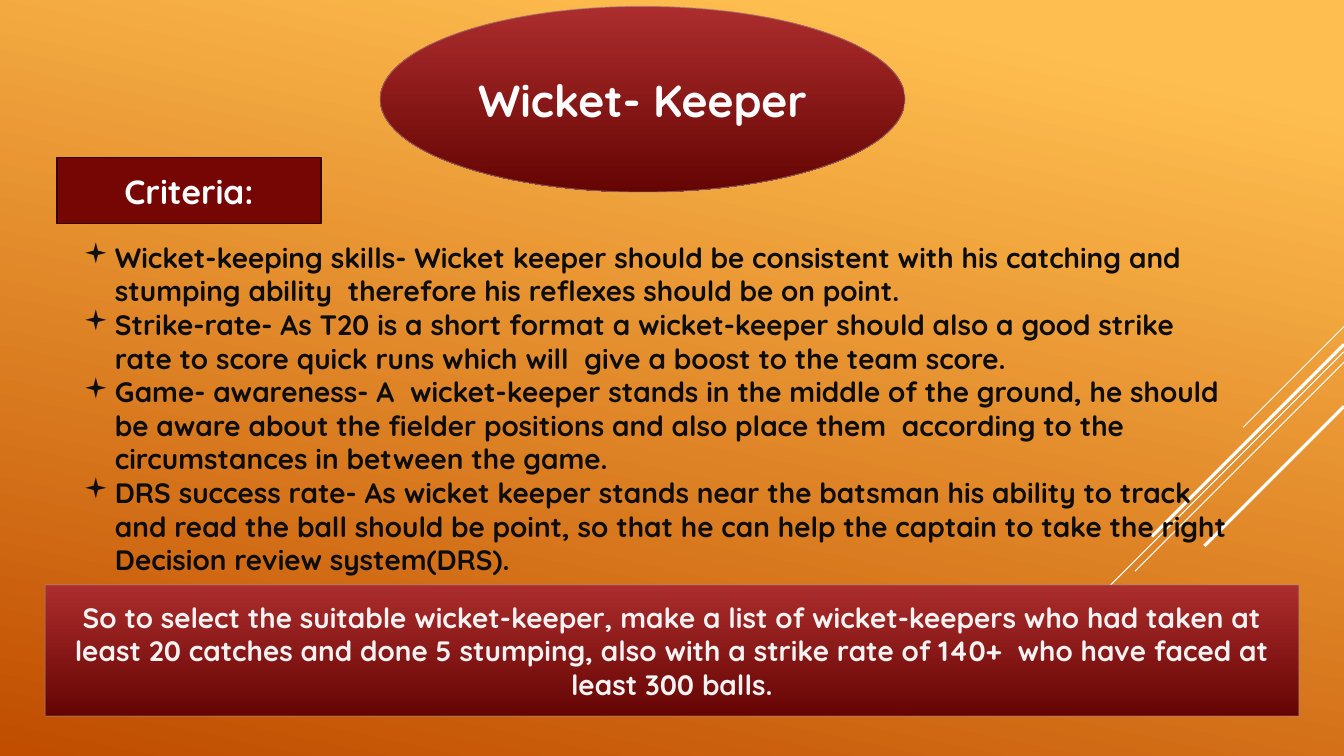
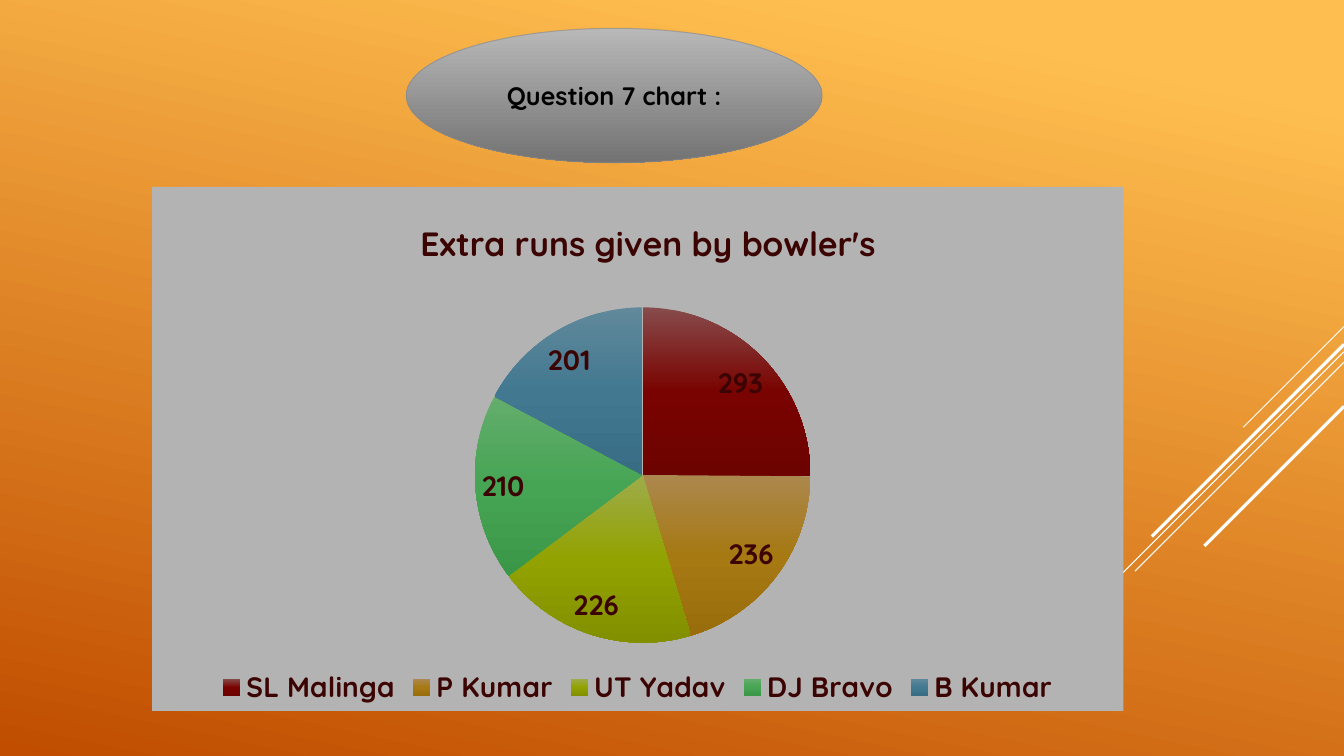
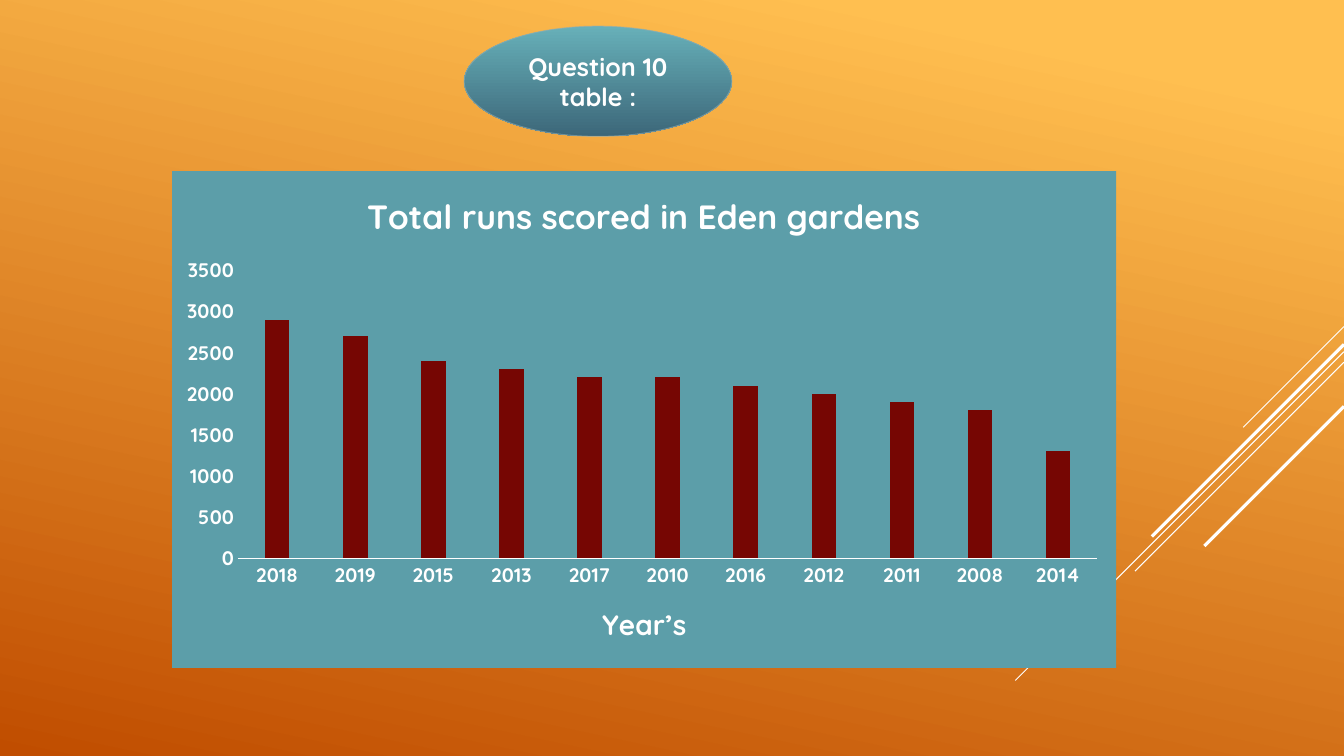
"""Build three cricket slides: wicket-keeper criteria, extra runs and total runs."""
import copy

import lxml.etree
import pptx
import pptx.chart.data
import pptx.dml.color
import pptx.enum.chart
import pptx.enum.shapes
import pptx.enum.text
import pptx.oxml.ns
import pptx.util

PX = 9525
FONT = "Quicksand"
WHITE, MAROON, DARK_RED = "FFFFFF", "760603", "3B0302"
RED_GRAD = [(0, "AC2D2D"), (100, "650503")]
RED_EDGE = ("A58989", 0.75)
rgb = pptx.dml.color.RGBColor.from_string
qn = pptx.oxml.ns.qn
sub = lxml.etree.SubElement
OVAL = pptx.enum.shapes.MSO_SHAPE.OVAL
RECT = pptx.enum.shapes.MSO_SHAPE.RECTANGLE
CHART_TYPE = pptx.enum.chart.XL_CHART_TYPE


def grad(fill, stops, angle=90):
    """Fill with a linear gradient of (percent, colour) stops, angle clockwise."""
    fill.gradient()
    fill.gradient_angle = 360 - angle
    gs = fill.gradient_stops[0]._gs
    for _ in stops[2:]:
        gs.addnext(copy.deepcopy(gs))
    for stop, (pos, color) in zip(fill.gradient_stops, stops):
        stop.position = pos / 100
        stop.color.rgb = rgb(color)


def style(font, size, color):
    """Apply the deck's bold typeface in a size and colour."""
    for key, value in {"name": FONT, "size": pptx.util.Pt(size), "bold": True}.items():
        setattr(font, key, value)
    font.color.rgb = rgb(color)


prs = pptx.Presentation()
prs.slide_width, prs.slide_height = 1280 * PX, 720 * PX
grad(prs.slide_master.background.fill, [(10, "FFBF50"), (100, "C04D00")], 102)

slides = []
for _ in range(3):
    s = prs.slides.add_slide(prs.slide_layouts[6])
    for y, run, weight in [(311, 96, 0.75), (335, 313, 0.75), (345, 199, 0.75),
                           (328, 183, 2.25), (387, 133, 2.25)]:
        ends = [v * PX for v in (1280, y, 1280 - run, y + run)]
        line = s.shapes.add_connector(pptx.enum.shapes.MSO_CONNECTOR.STRAIGHT, *ends)
        line.line.color.rgb = rgb(WHITE)
        line.line.width = pptx.util.Pt(weight)
        sub(line._element.spPr, qn("a:effectLst"))
    slides.append(s)
keeper, extras, totals = slides

criteria = [
    "Wicket-keeping skills- Wicket keeper should be consistent with his catching and "
    "stumping ability  therefore his reflexes should be on point.",
    "Strike-rate- As T20 is a short format a wicket-keeper should also a good strike "
    "rate to score quick runs which will  give a boost to the team score.",
    "Game- awareness- A  wicket-keeper stands in the middle of the ground, he should "
    "be aware about the fielder positions and also place them  according to the "
    "circumstances in between the game.",
    "DRS success rate- As wicket keeper stands near the batsman his ability to track "
    "and read the ball should be point, so that he can help the captain to take the "
    "right Decision review system(DRS).",
]
tf = keeper.shapes.add_textbox(*[v * PX for v in (70, 224, 1116, 333)]).text_frame
tf.word_wrap = True
for i, text in enumerate(criteria):
    p = tf.add_paragraph() if i else tf.paragraphs[0]
    r = p.add_run()
    r.text = text
    style(r.font, 20, "0D0D0D")
    pPr = p._p.get_or_add_pPr()
    pPr.set("marL", str(30 * PX))
    pPr.set("indent", str(-30 * PX))
    sub(pPr, qn("a:buFont")).set("typeface", "Wingdings")
    sub(pPr, qn("a:buChar")).set("char", "▪")

charts = []
for s, kind, box, cats, vals, title, size, color, back in [
    (extras, CHART_TYPE.PIE, (145, 178, 925, 499),
     ["SL Malinga", "P Kumar", "UT Yadav", "DJ Bravo", "B Kumar"],
     [293, 236, 226, 210, 201],
     "Extra runs given by bowler's", 20, DARK_RED, "B3B3B3"),
    (totals, CHART_TYPE.COLUMN_CLUSTERED, (164, 163, 899, 473),
     ["2018", "2019", "2015", "2013", "2017", "2010", "2016", "2012", "2011", "2008", "2014"],
     [2900, 2700, 2400, 2300, 2200, 2200, 2100, 2000, 1900, 1800, 1300],
     "Total runs scored in Eden gardens", 14, WHITE, "5C9EA9"),
]:
    data = pptx.chart.data.CategoryChartData()
    data.categories = cats
    data.add_series("Series 1", vals)
    chart = s.shapes.add_chart(kind, *[v * PX for v in box], data).chart
    style(chart.font, size, color)
    chart.has_title = True
    chart.chart_title.text_frame.text = title
    style(chart.chart_title.text_frame.paragraphs[0].runs[0].font, 24, color)
    spPr = chart._chartSpace.makeelement(qn("c:spPr"))
    sub(sub(spPr, qn("a:solidFill")), qn("a:srgbClr")).set("val", back)
    sub(sub(spPr, qn("a:ln")), qn("a:noFill"))
    chart._chartSpace.find(qn("c:chart")).addnext(spPr)
    charts.append(chart)
pie, columns = charts

pie.has_legend = True
pie.legend.position = pptx.enum.chart.XL_LEGEND_POSITION.BOTTOM
pie.legend.include_in_layout = False
style(pie.legend.font, 20, DARK_RED)
plot = pie.plots[0]
plot.vary_by_categories = True
plot.has_data_labels = True
plot.data_labels.show_value = True
plot.data_labels.show_percentage = False
plot.data_labels.position = pptx.enum.chart.XL_LABEL_POSITION.BEST_FIT
style(plot.data_labels.font, 20, DARK_RED)
for i, shades in enumerate([("874B4B", "790300", "6C0300"), ("AC874D", "A67913", "996D0B"),
                            ("9EAC4B", "92A200", "829000"), ("64AD6D", "46A554", "3A9748"),
                            ("61889B", "427991", "386D84")]):
    grad(plot.series[0].points[i].format.fill, list(zip((0, 50, 100), shades)))

columns.has_legend = False
plot = columns.plots[0]
for key, value in {"gap_width": 219, "overlap": -27, "vary_by_categories": False}.items():
    setattr(plot, key, value)
fill = plot.series[0].format.fill
fill.solid()
fill.fore_color.rgb = rgb(MAROON)
years, runs = columns.category_axis, columns.value_axis
for axis in (years, runs):
    axis.has_major_gridlines = False
    axis.major_tick_mark = pptx.enum.chart.XL_TICK_MARK.NONE
    style(axis.tick_labels.font, 14, WHITE)
for key, value in {"minimum_scale": 0, "maximum_scale": 3500, "major_unit": 500}.items():
    setattr(runs, key, value)
runs.format.line.fill.background()
years.format.line.color.rgb = rgb(WHITE)
years.format.line.width = pptx.util.Pt(0.75)
years.has_title = True
years.axis_title.text_frame.text = "Year’s"
style(years.axis_title.text_frame.paragraphs[0].runs[0].font, 20, WHITE)

for el, index, place in [
    (pie.chart_title._element, 1, (0.27, 0.05)),
    (pie._chartSpace.chart.plotArea, 0, (0.33, 0.23, 0.35, 0.64)),
    (columns.chart_title._element, 1, (0.2, 0.03)),
    (years.axis_title._element, 1, (0.45, 0.86)),
    (columns._chartSpace.chart.plotArea, 0, (0.07, 0.2, 0.91, 0.58)),
]:
    for old in el.findall(qn("c:layout")):
        el.remove(old)
    layout = el.makeelement(qn("c:layout"))
    el.insert(index, layout)
    manual = sub(layout, qn("c:manualLayout"))
    if len(place) == 4:
        sub(manual, qn("c:layoutTarget")).set("val", "inner")
    for tag in ("c:xMode", "c:yMode"):
        sub(manual, qn(tag)).set("val", "edge")
    for tag, value in zip(("c:x", "c:y", "c:w", "c:h"), place):
        sub(manual, qn(tag)).set("val", str(value))

for s, kind, box, stops, (edge, weight), text, size, color in [
    (keeper, OVAL, (362, 6, 500, 177), RED_GRAD, RED_EDGE, "Wicket- Keeper", 32, WHITE),
    (keeper, RECT, (54, 150, 252, 63), [(0, MAROON)], ("340301", 1.25), "Criteria:", 24, WHITE),
    (keeper, RECT, (43, 557, 1194, 125), RED_GRAD, RED_EDGE,
     "So to select the suitable wicket-keeper, make a list of wicket-keepers who had taken "
     "at least 20 catches and done 5 stumping, also with a strike rate of 140+  who have "
     "faced at least 300 balls.", 20, "F2F2F2"),
    (extras, OVAL, (387, 27, 396, 128), [(0, "B8B8B8"), (100, "737373")], ("898989", 0.75),
     "Question 7 chart :", 18, "000000"),
    (totals, OVAL, (442, 25, 255, 105), [(0, "67B0B9"), (100, "3C6779")], ("92ADB1", 0.75),
     "Question 10 table :", 18, WHITE),
]:
    sp = s.shapes.add_shape(kind, *[v * PX for v in box])
    sp.shadow.inherit = False
    sp.line.color.rgb = rgb(edge)
    sp.line.width = pptx.util.Pt(weight)
    if len(stops) > 1:
        grad(sp.fill, stops)
        clr = sp._element.spPr.find(qn("a:ln")).find(".//" + qn("a:srgbClr"))
        sub(clr, qn("a:alpha")).set("val", "60000")
    else:
        sp.fill.solid()
        sp.fill.fore_color.rgb = rgb(stops[0][1])
    tf = sp.text_frame
    tf.word_wrap = True
    tf.vertical_anchor = pptx.enum.text.MSO_ANCHOR.MIDDLE
    p = tf.paragraphs[0]
    p.alignment = pptx.enum.text.PP_ALIGN.CENTER
    r = p.add_run()
    r.text = text
    style(r.font, size, color)

prs.save("out.pptx")
